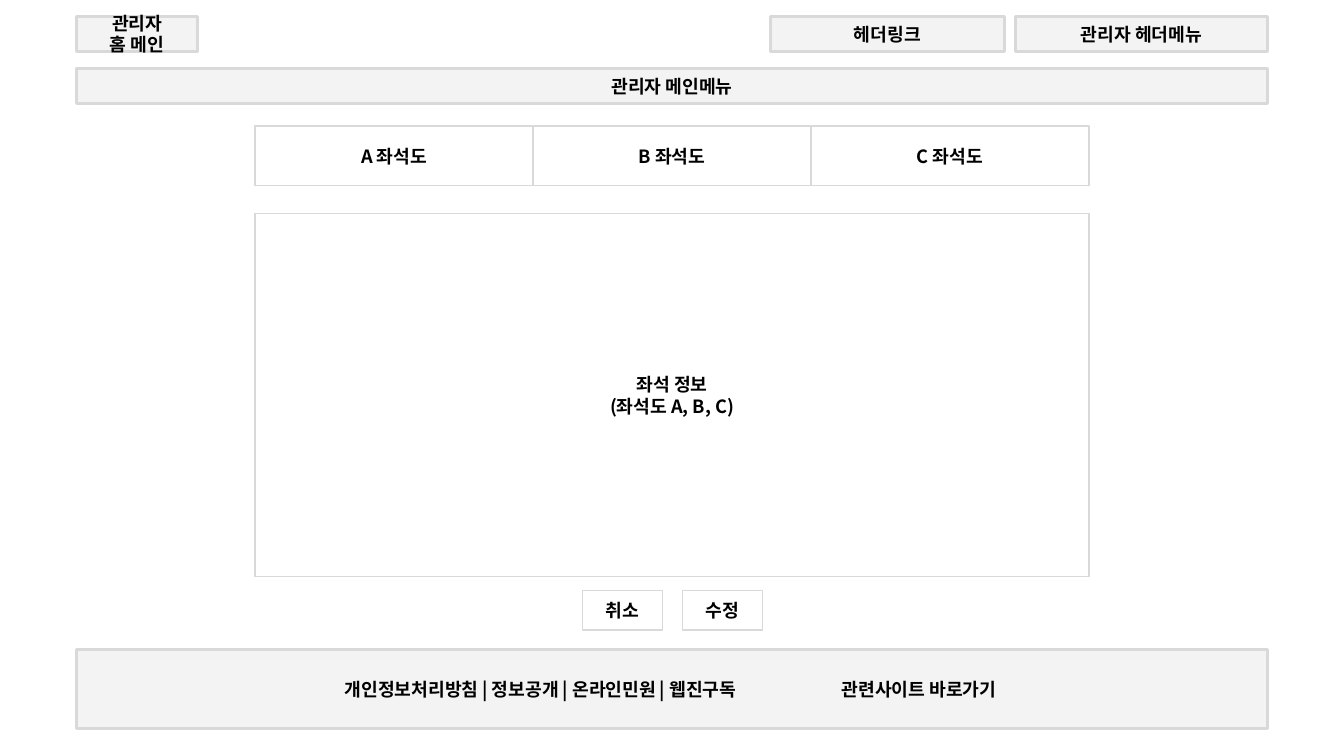
from lxml.etree import SubElement
from pptx import Presentation
from pptx.dml.color import RGBColor
from pptx.enum.shapes import MSO_SHAPE
from pptx.enum.text import MSO_ANCHOR, PP_ALIGN
from pptx.oxml.ns import qn
from pptx.util import Inches, Pt

GRAY = RGBColor(0xD9, 0xD9, 0xD9)
WHITE = RGBColor(0xFF, 0xFF, 0xFF)
BLACK = RGBColor(0x00, 0x00, 0x00)
FONT = "Noto Sans CJK KR"

presentation = Presentation()
presentation.slide_width = Inches(13.33)
presentation.slide_height = Inches(7.5)
slide = presentation.slides.add_slide(presentation.slide_layouts[6])


def add_panel(text, left, top, width, height, *, fill=WHITE, opacity=100,
              line_width=1, align=PP_ALIGN.CENTER, inset=0.1, tab=None):
    panel = slide.shapes.add_shape(
        MSO_SHAPE.RECTANGLE, Inches(left), Inches(top), Inches(width), Inches(height))
    panel.shadow.inherit = False
    panel.fill.solid()
    panel.fill.fore_color.rgb = fill
    if opacity < 100:
        color = panel.fill._xPr.find(qn("a:solidFill"))[0]
        SubElement(color, qn("a:alpha"), val=str(opacity * 1000))
    panel.line.color.rgb = GRAY
    panel.line.width = Pt(line_width)
    frame = panel.text_frame
    frame.word_wrap = True
    frame.vertical_anchor = MSO_ANCHOR.MIDDLE
    frame.margin_left = Inches(inset)
    frame.text = text
    for paragraph in frame.paragraphs:
        paragraph.alignment = align
        if tab:
            stops = SubElement(paragraph._p.get_or_add_pPr(), qn("a:tabLst"))
            SubElement(stops, qn("a:tab"), pos=str(Inches(tab)), algn="l")
        for run in paragraph.runs:
            run.font.size = Pt(13)
            run.font.bold = True
            run.font.name = FONT
            run.font.color.rgb = BLACK
            SubElement(run.font._element, qn("a:ea"), typeface=FONT)


shaded = {"fill": GRAY, "opacity": 30, "line_width": 2}
page_left, page_width = 0.76, 11.81
header_top, bar_height = 0.16, 0.35

add_panel("관리자 메인메뉴", page_left, 0.68, page_width, bar_height, **shaded)
for label, left, width in [("관리자 헤더메뉴", 10.07, 2.5),
                           ("헤더링크", 7.64, 2.32),
                           ("관리자\n홈 메인", page_left, 1.2)]:
    add_panel(label, left, header_top, width, bar_height, **shaded)

footer_links = " | ".join(["개인정보처리방침", "정보공개", "온라인민원", "웹진구독"])
add_panel(f"{footer_links}\t관련사이트 바로가기", page_left, 6.44, page_width, 0.79,
          align=PP_ALIGN.LEFT, inset=2.66, tab=4.93, **shaded)

content_left, content_width = 2.53, 8.27
add_panel("좌석 정보\n(좌석도 A, B, C)", content_left, 2.12, content_width, 3.6)

tab_width = content_width / 3
for index, section in enumerate("ABC"):
    add_panel(f"{section} 좌석도", content_left + index * tab_width, 1.25, tab_width, 0.59)

for index, action in enumerate(["취소", "수정"]):
    add_panel(action, 5.78 + index * 0.99, 5.86, 0.79, 0.39)

presentation.save("out.pptx")
